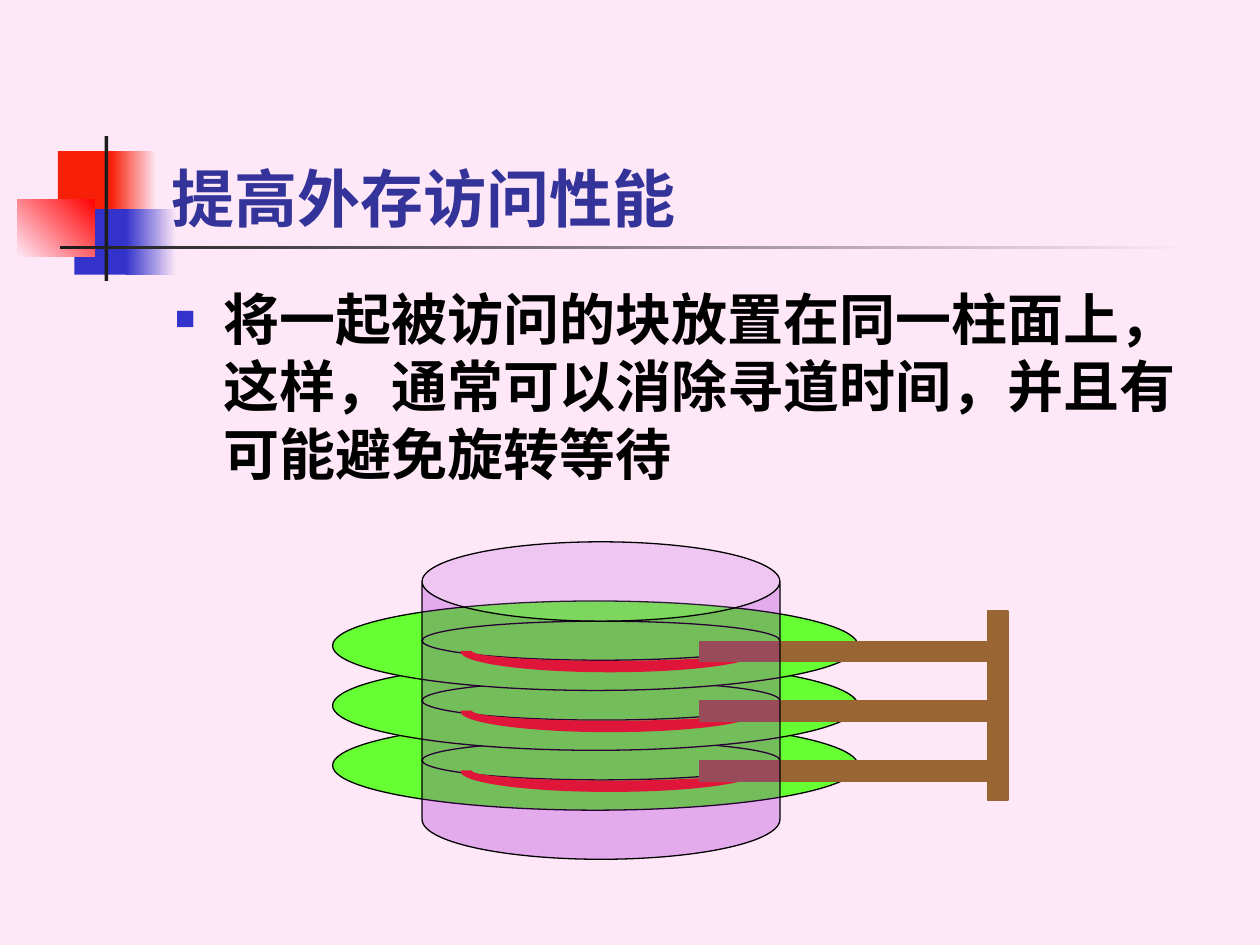
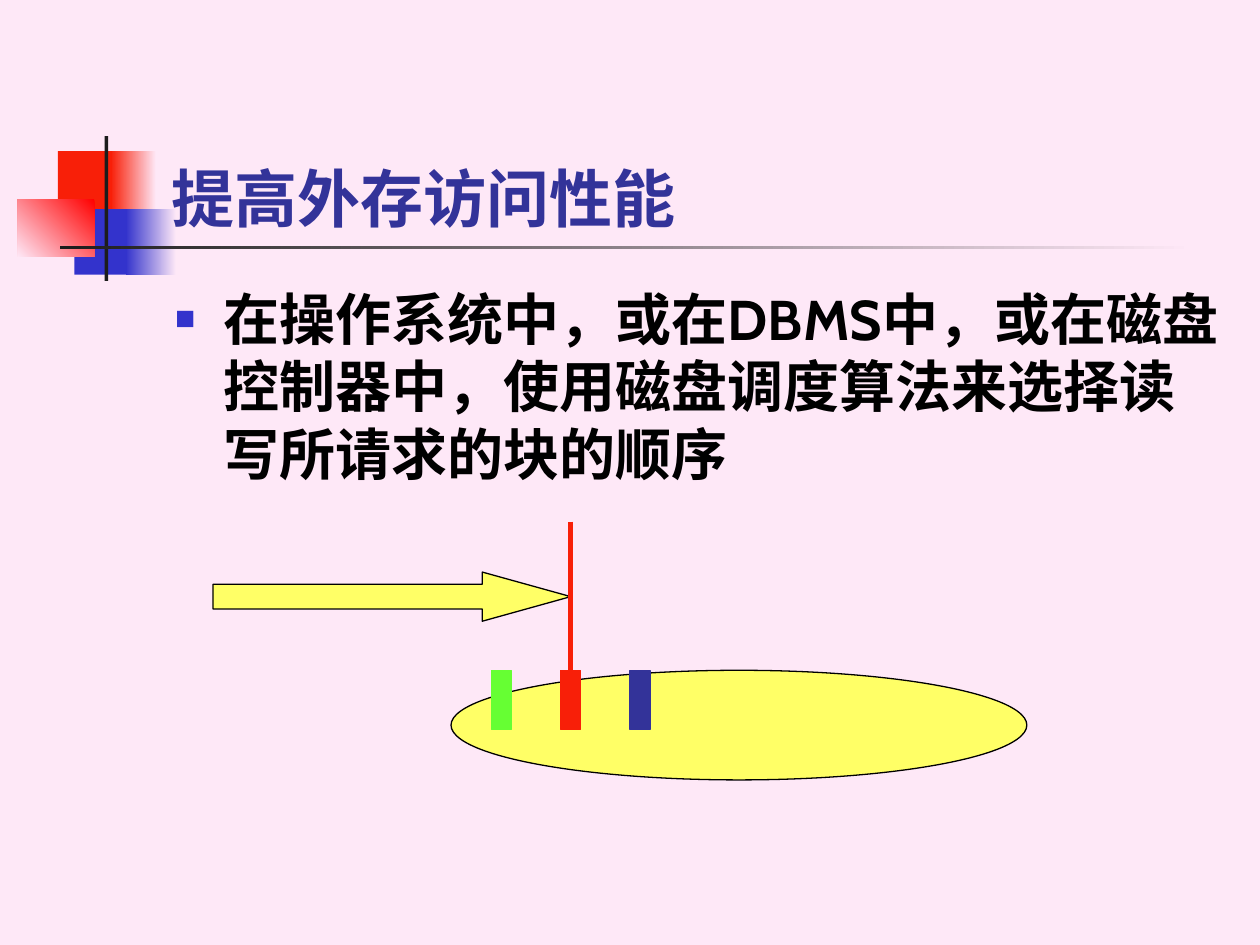
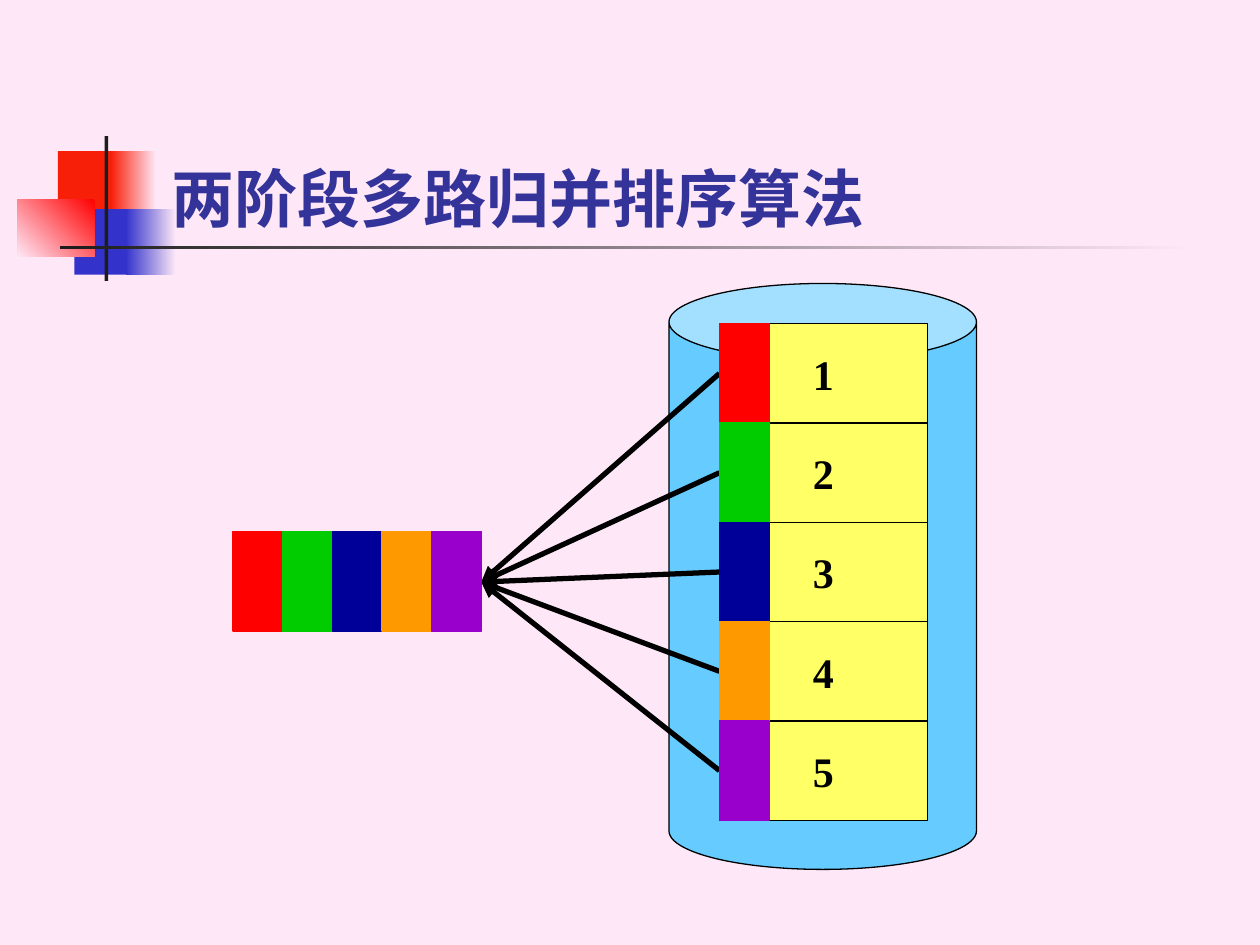
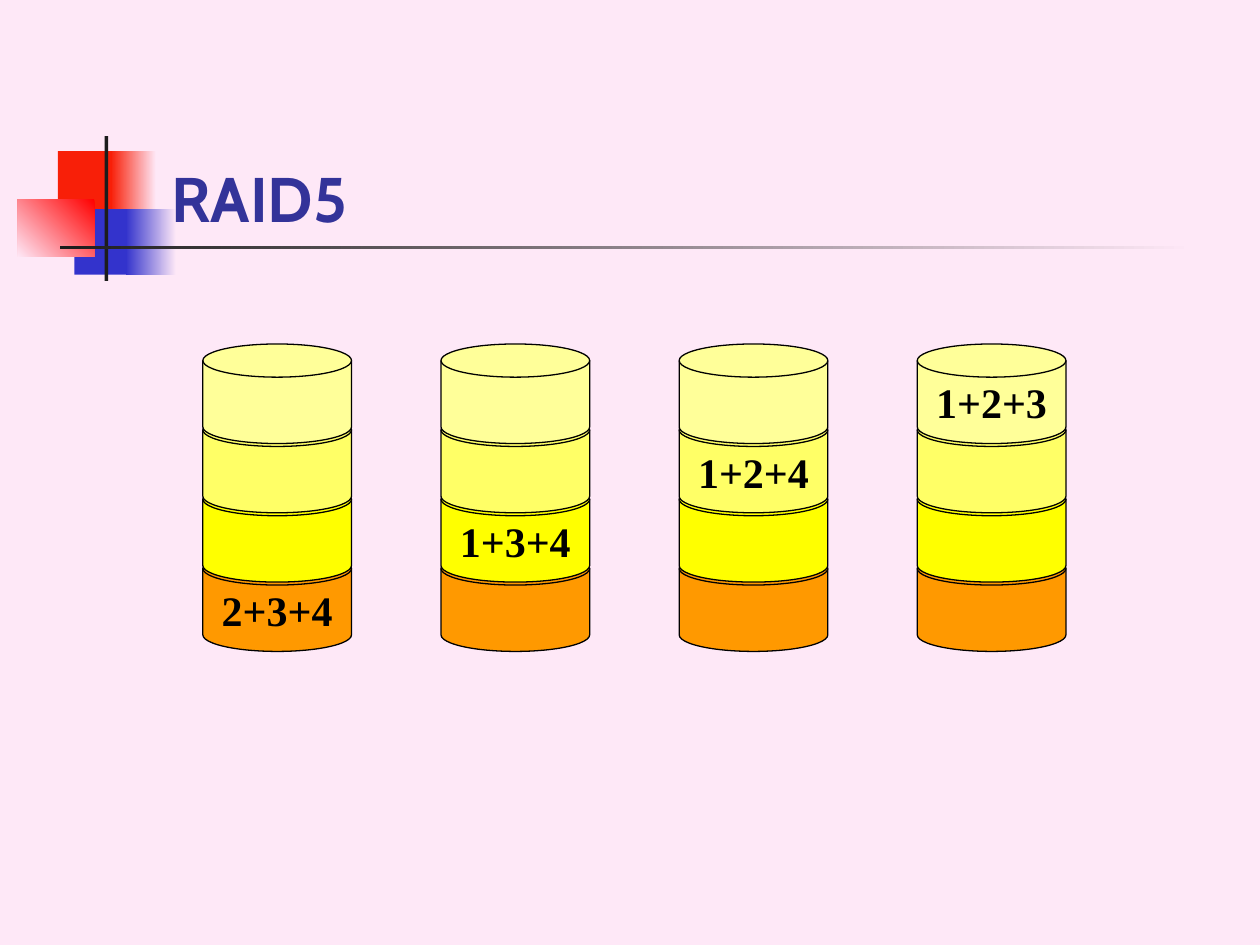
import collections

import pptx
import pptx.dml.color
import pptx.enum.shapes
import pptx.enum.text
import pptx.oxml.ns
import pptx.util
from lxml import etree

Inches = pptx.util.Inches
Pt = pptx.util.Pt
qn = pptx.oxml.ns.qn
KIND = pptx.enum.shapes.MSO_SHAPE
ALIGN = pptx.enum.text.PP_ALIGN
ANCHOR = pptx.enum.text.MSO_ANCHOR
FIT = pptx.enum.text.MSO_AUTO_SIZE

Box = collections.namedtuple("Box", "left top width height")

HUES = {
    "pink": "FEE8F7", "scarlet": "F81F08", "blue": "3333CC", "ink": "1C1C1C",
    "navy": "333399", "black": "000000", "lime": "66FF33", "brown": "996633",
    "lemon": "FFFF66", "pale": "FFFF99", "yellow": "FFFF00", "sky": "66CCFF",
    "red": "FF0000", "green": "00CC00", "deep": "000099", "orange": "FF9900",
    "purple": "9900CC",
}
RUNS = ["red", "green", "deep", "orange", "purple"]
LAYERS = ["orange", "yellow", "lemon", "pale"]

TITLE = {"size": Pt(36), "name": "Cabin", "bold": True}
BODY = {"size": Pt(32), "name": "Cabin", "bold": True}
LABEL = {"size": Pt(24), "name": "Times New Roman", "bold": True}

HEAD = Box(1.26, 0.67, 8.52, 1.25)
TEXT = Box(1.29, 2.21, 8.5, 4.5)


def hue(name):
    return pptx.dml.color.RGBColor.from_string(HUES[name])


def apply(item, values):
    for key, value in values.items():
        setattr(item, key, value)


def within(box, left, top, width, height):
    return Box(box.left + left, box.top + top, width, height)


def paint(shape, fill, angle=None):
    if angle is None:
        shape.fill.solid()
        shape.fill.fore_color.rgb = hue(fill)
        return
    shape.fill.gradient()
    shape.fill.gradient_angle = angle
    for stop, name in zip(shape.fill.gradient_stops, fill):
        stop.color.rgb = hue(name)


def draw(shapes, kind, box, fill, edge="black", angle=None):
    shape = shapes.add_shape(kind, *map(Inches, box))
    shape.shadow.inherit = False
    paint(shape, fill, angle)
    if edge:
        shape.line.color.rgb = hue(edge)
        shape.line.width = Pt(0.75)
    else:
        shape.line.fill.background()
    return shape


def link(shapes, start, end, name, arrow=False):
    ends = map(Inches, (*start, *end))
    line = shapes.add_connector(pptx.enum.shapes.MSO_CONNECTOR.STRAIGHT, *ends)
    line.line.color.rgb = hue(name)
    line.line.width = Pt(3)
    props = line.element.spPr
    if arrow:
        etree.SubElement(props.find(qn("a:ln")), qn("a:tailEnd"), type="triangle")
    etree.SubElement(props, qn("a:effectLst"))


def write(shape, text, style, name, frame, lines):
    body = shape.text_frame
    body.text = text
    apply(body, frame)
    para = body.paragraphs[0]
    apply(para, lines)
    font = para.runs[0].font
    apply(font, style)
    font.color.rgb = hue(name)
    return para


def label(shape, text):
    write(shape, text, LABEL, "black",
          {"word_wrap": False, "vertical_anchor": ANCHOR.MIDDLE},
          {"alignment": ALIGN.CENTER, "space_before": Pt(15)})


def place(shape, box):
    apply(shape, {key: Inches(value) for key, value in box._asdict().items()})


def crest(slide, master, box):
    parts = [
        ((0.32, 0.12, 0.48, 0.52), "scarlet", None),
        ((0.74, 0.12, 0.36, 0.52), ("pink", "scarlet"), 180),
        ((0.45, 0.58, 0.46, 0.52), "blue", None),
        ((0.86, 0.58, 0.4, 0.52), ("pink", "blue"), 180),
        ((0, 0.5, 0.61, 0.46), ("red", "pink"), 225),
        ((0.69, 0, 0.03, 1.15), "ink", None),
        ((0.34, 0.87, 9, 0.03), ("pink", "ink"), 180),
    ]
    tree = master.shapes.element
    for count, (spot, fill, angle) in enumerate(parts):
        mark = draw(slide.shapes, KIND.RECTANGLE, within(box, *spot), fill, None, angle)
        mark.element.nvSpPr.cNvPr.set("id", str(20 + count))
        tree.insert(2 + count, mark.element)


def head(slide, text, box):
    title = slide.shapes.title
    place(title, box)
    write(title, text, TITLE, "navy",
          {"vertical_anchor": ANCHOR.BOTTOM, "auto_size": FIT.NONE},
          {"alignment": ALIGN.LEFT})


def point(slide, text, box):
    holder = slide.placeholders[1]
    place(holder, box)
    para = write(holder, text, BODY, "black",
                 {"auto_size": FIT.NONE}, {"space_before": Pt(8)})
    props = para._p.get_or_add_pPr()
    props.set("marL", str(Inches(0.38)))
    props.set("indent", str(Inches(-0.38)))
    tint = etree.SubElement(props, qn("a:buClr"))
    etree.SubElement(tint, qn("a:srgbClr"), val=HUES["blue"])
    etree.SubElement(props, qn("a:buSzPct"), val="60000")
    etree.SubElement(props, qn("a:buChar"), char="■")


def platters(slide, box):
    group = slide.shapes.add_group_shape().shapes
    gap = 0.475
    for level in (2, 1, 0):
        top = level * gap
        draw(group, KIND.OVAL, within(box, 0, 0.47 + top, 4.17, 0.71), "lime")
        draw(group, KIND.OVAL, within(box, 0.71, 0.63 + top, 2.84, 0.31), "lime")
    draw(group, KIND.RECTANGLE, within(box, 5.2, 0.55, 0.16, 1.5), "brown", "brown")
    for level in range(3):
        top = level * gap
        track = draw(group, KIND.BLOCK_ARC, within(box, 1.02, 0.71 + top, 2.36, 0.32),
                     "scarlet", "scarlet")
        track.rotation = 180
        for index, value in enumerate((108, 0, 0.25)):
            track.adjustments[index] = value
        draw(group, KIND.RECTANGLE, within(box, 2.91, 0.79 + top, 2.44, 0.16),
             "brown", "brown")
    can = draw(slide.shapes, KIND.CAN, within(box, 0.71, 0, 2.84, box.height), "purple")
    tint = can.element.spPr.find(qn("a:solidFill"))[0]
    etree.SubElement(tint, qn("a:alpha"), val="26000")


def seek(slide, box):
    group = slide.shapes.add_group_shape().shapes
    draw(group, KIND.OVAL, within(box, 1.89, 1.18, 4.57, 0.87), "lemon")
    arrow = draw(group, KIND.RIGHT_ARROW, within(box, 0, 0.4, 2.84, 0.39), "lemon")
    arrow.adjustments[1] = 1.8
    for index, name in enumerate(("lime", "scarlet", "navy")):
        spot = within(box, 2.21 + index * 0.55, 1.18, 0.16, 0.47)
        draw(group, KIND.RECTANGLE, spot, name, name)
    beam = box.left + 2.84
    link(group, (beam, box.top), (beam, box.top + 1.26), "scarlet")


def merge(slide, box):
    group = slide.shapes.add_group_shape().shapes
    wide, high = 0.394, 0.788
    draw(group, KIND.CAN, within(box, 3.46, 0, 2.44, box.height), "sky")
    rows = [within(box, 3.86, 0.32 + index * high, 1.65, high)
            for index in range(len(RUNS))]
    for index, row in enumerate(rows, 1):
        label(draw(group, KIND.RECTANGLE, row, "lemon"), str(index))
    goal = (box.left + len(RUNS) * wide, box.top + 2.37)
    for row in rows:
        link(group, (row.left, row.top + high / 2), goal, "black", True)
    for index, (row, name) in enumerate(zip(rows, RUNS)):
        slot = within(box, index * wide, 1.97, wide, high)
        for spot in (row._replace(width=wide), slot):
            draw(group, KIND.RECTANGLE, spot, name, name)


def raid(slide, box):
    wide, high = 1.18, 0.79
    count = len(LAYERS)
    across = (box.width - wide) / (count - 1)
    down = (box.height - high) / (count - 1)
    for row, name in enumerate(LAYERS):
        for col in range(count):
            spot = within(box, col * across, (count - 1 - row) * down, wide, high)
            disk = draw(slide.shapes, KIND.FLOWCHART_MAGNETIC_DISK, spot, name)
            if row == col:
                label(disk, "+".join(str(n) for n in range(1, count + 1) if n != row + 1))


def main():
    deck = pptx.Presentation()
    apply(deck, {"slide_width": Inches(10), "slide_height": Inches(7.5)})
    master = deck.slide_master
    master.background.fill.solid()
    master.background.fill.fore_color.rgb = hue("pink")
    pages = [
        ("提高外存访问性能",
         "将一起被访问的块放置在同一柱面上，这样，通常可以消除寻道时间，并且有可能避免旋转等待",
         platters, Box(2.64, 4.3, 5.36, 2.52)),
        ("提高外存访问性能",
         "在操作系统中，或在DBMS中，或在磁盘控制器中，使用磁盘调度算法来选择读写所请求的块的顺序",
         seek, Box(1.69, 4.14, 6.46, 2.05)),
        ("两阶段多路归并排序算法", None, merge, Box(1.85, 2.25, 5.9, 4.65)),
        ("RAID5", None, raid, Box(1.61, 2.73, 6.85, 2.44)),
    ]
    for title, text, figure, box in pages:
        slide = deck.slides.add_slide(deck.slide_layouts[1 if text else 5])
        if len(deck.slides) == 1:
            crest(slide, master, Box(0.14, 1.08, 9.34, 1.15))
        head(slide, title, HEAD)
        if text:
            point(slide, text, TEXT)
        figure(slide, box)
    deck.save("out.pptx")


if __name__ == "__main__":
    main()
